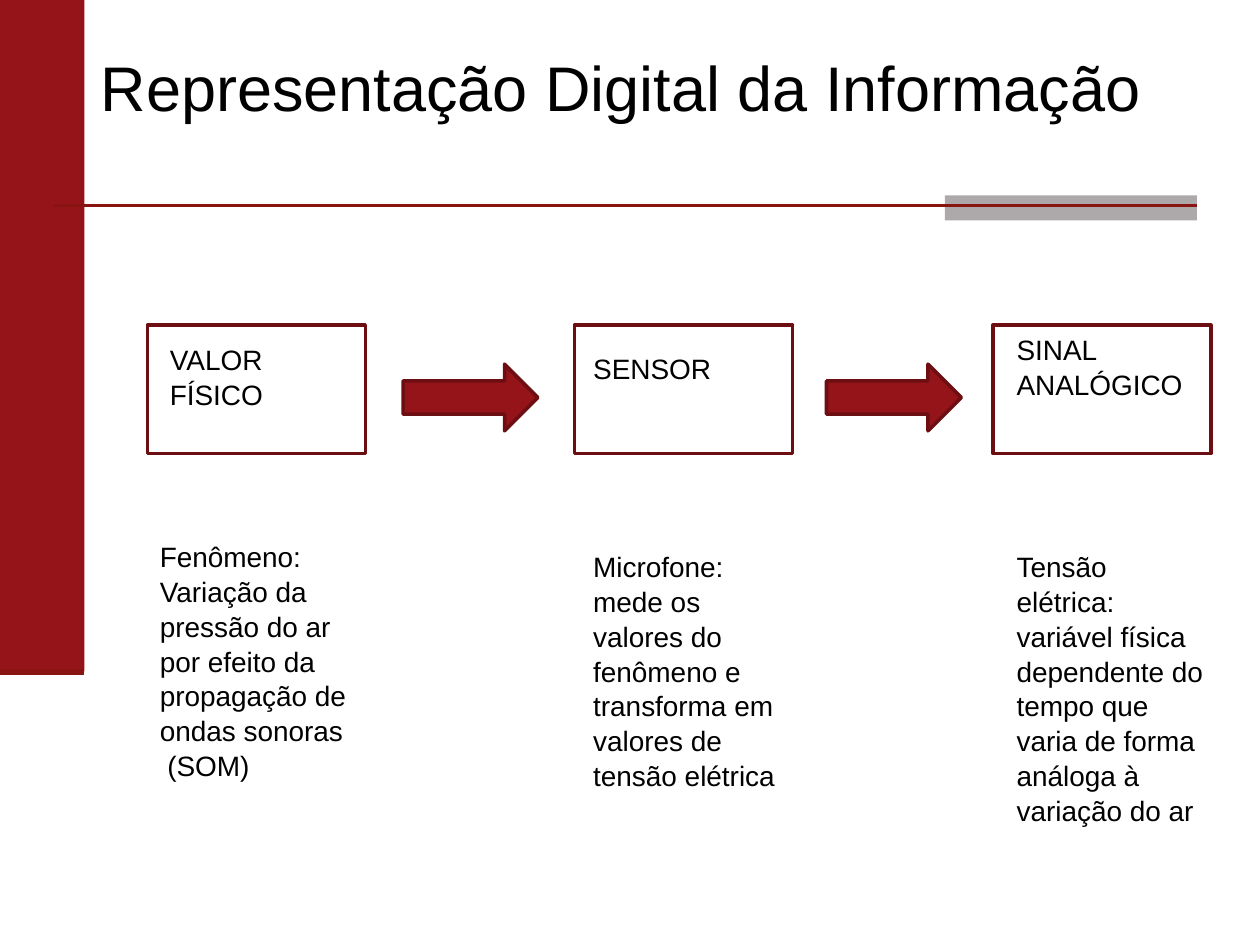
from pptx import Presentation
from pptx.dml.color import RGBColor
from pptx.enum.shapes import MSO_CONNECTOR, MSO_SHAPE
from pptx.enum.text import MSO_ANCHOR, MSO_AUTO_SIZE, PP_ALIGN
from pptx.oxml.ns import qn
from pptx.util import Inches, Pt
from lxml.etree import SubElement

RED = RGBColor(0x94, 0x14, 0x1A)
DARK_RED = RGBColor(0x6C, 0x0E, 0x12)
RULE_RED = RGBColor(0x89, 0x14, 0x11)
GRAY = RGBColor(0xAD, 0xA9, 0xAB)
BLACK = RGBColor(0, 0, 0)

STAGE_TOP = 2.58
STAGES = [
    (1.17, ["VALOR FÍSICO"], (1.25, 2.66, 1.48, 0.64),
     ["Fenômeno: Variação da pressão do ar por efeito da propagação de ondas sonoras", "(SOM)"],
     (1.17, 4.22, 1.8, 1.99)),
    (4.56, ["SENSOR"], (4.61, 2.73, 1.56, 0.37),
     ["Microfone: mede os valores do fenômeno e transforma em valores de tensão elétrica"],
     (4.61, 4.3, 1.64, 2.26)),
    (7.88, ["SINAL ANALÓGICO"], (7.97, STAGE_TOP, 1.56, 0.64),
     ["Tensão elétrica: variável física dependente do tempo que varia de forma análoga à variação do ar"],
     (7.97, 4.3, 1.72, 2.26)),
]
ARROW_LEFTS = [3.2, 6.56]


def write_text(frame, paragraphs, size=16, color=BLACK, font="Arial", spacing=1.04, later_indent=0.06):
    frame.word_wrap = True
    frame.auto_size = MSO_AUTO_SIZE.NONE
    frame.vertical_anchor = MSO_ANCHOR.TOP
    for index, content in enumerate(paragraphs):
        paragraph = frame.add_paragraph() if index else frame.paragraphs[0]
        if index:
            properties = paragraph._p.get_or_add_pPr()
            properties.set("marL", str(Inches(later_indent)))
        paragraph.alignment = PP_ALIGN.LEFT
        paragraph.line_spacing = spacing
        paragraph.space_before = Pt(0)
        run = paragraph.add_run()
        run.text = content
        run.font.name = font
        run.font.size = Pt(size)
        run.font.color.rgb = color


def place(shape, bounds):
    shape.left, shape.top, shape.width, shape.height = map(Inches, bounds)


def add_title(slide, content, bounds):
    title = slide.shapes.title
    place(title, bounds)
    write_text(title.text_frame, [content], size=36)


def add_label(slide, paragraphs, bounds):
    label = slide.shapes.add_textbox(*map(Inches, bounds))
    write_text(label.text_frame, paragraphs)


def add_block(slide, kind, bounds, fill=None, outline=None):
    block = slide.shapes.add_shape(kind, *map(Inches, bounds))
    block.shadow.inherit = False
    if fill is None:
        block.fill.background()
    else:
        block.fill.solid()
        block.fill.fore_color.rgb = fill
    if outline is None:
        block.line.fill.background()
    else:
        block.line.color.rgb = outline
        block.line.width = Pt(2)


def add_rule(slide, left, right, height, weight):
    rule = slide.shapes.add_connector(
        MSO_CONNECTOR.STRAIGHT, Inches(left), Inches(height), Inches(right), Inches(height))
    rule.line.color.rgb = RULE_RED
    rule.line.width = Pt(weight)
    SubElement(rule._element.spPr, qn("a:effectLst"))


def add_frame(slide):
    add_block(slide, MSO_SHAPE.RECTANGLE, (0, 0, 0.67, 5.33), fill=RED)
    add_block(slide, MSO_SHAPE.RECTANGLE, (7.5, 1.55, 2, 0.2), fill=GRAY)
    add_rule(slide, 0.42, 9.5, 1.63, 1.5)
    add_rule(slide, 0, 0.67, 5.33, 3.5)


def main():
    presentation = Presentation()
    presentation.slide_width = Inches(10)
    presentation.slide_height = Inches(7.5)
    slide = presentation.slides.add_slide(presentation.slide_layouts[5])
    add_frame(slide)
    add_title(slide, "Representação Digital da Informação", (0.7, 0.31, 9.06, 0.71))
    for left, name, name_bounds, description, description_bounds in STAGES:
        add_block(slide, MSO_SHAPE.RECTANGLE, (left, STAGE_TOP, 1.73, 1.02), outline=DARK_RED)
        add_label(slide, name, name_bounds)
        add_label(slide, description, description_bounds)
    for left in ARROW_LEFTS:
        add_block(slide, MSO_SHAPE.RIGHT_ARROW, (left, 2.89, 1.07, 0.53), fill=RED, outline=DARK_RED)
    presentation.save("out.pptx")


if __name__ == "__main__":
    main()
